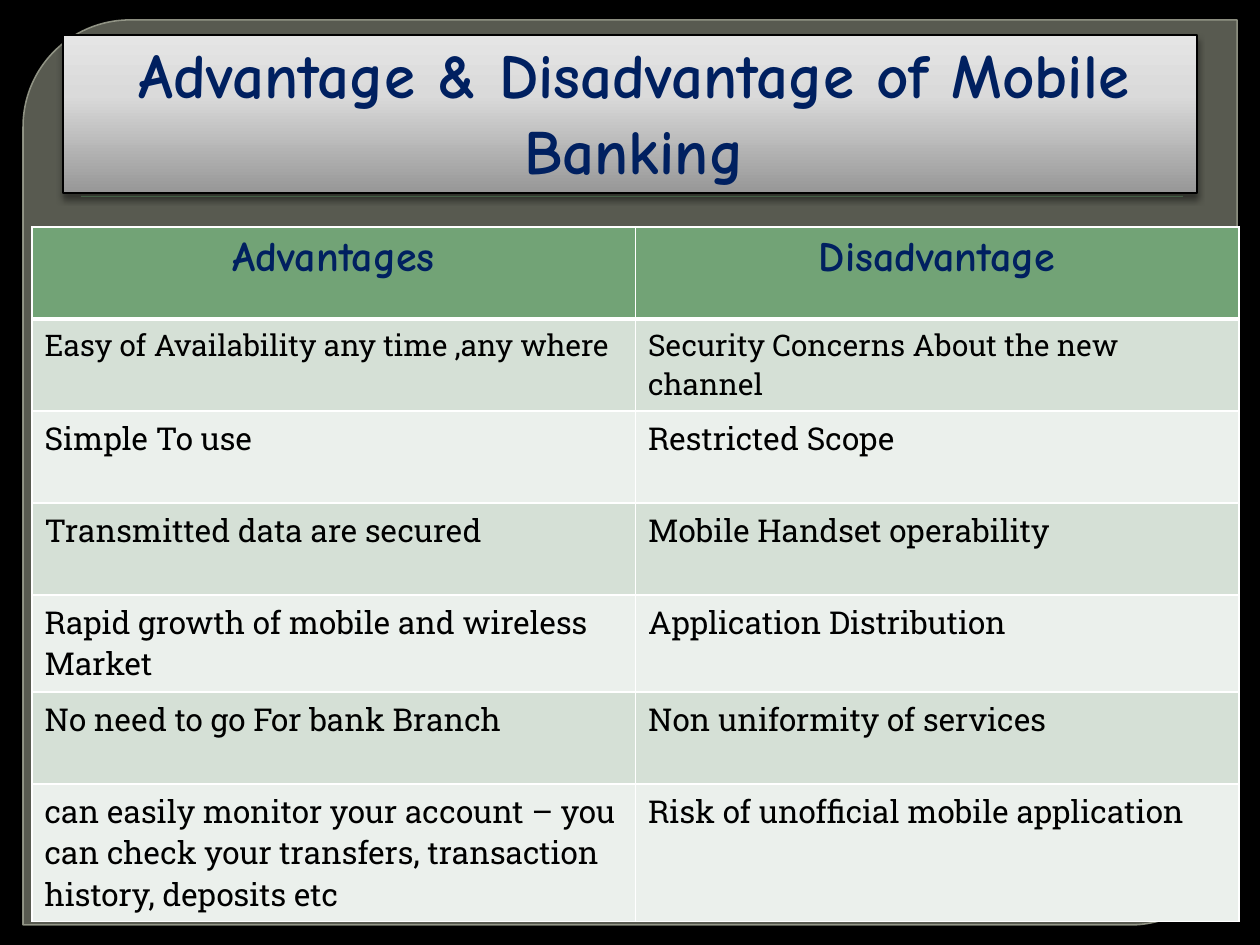
from dataclasses import dataclass
from typing import NamedTuple, Optional

from lxml import etree
from pptx import Presentation
from pptx.dml.color import RGBColor
from pptx.enum.shapes import MSO_SHAPE
from pptx.enum.text import MSO_ANCHOR, PP_ALIGN
from pptx.oxml import parse_xml
from pptx.oxml.ns import nsdecls, qn
from pptx.util import Emu, Pt

RECT, FRAME = MSO_SHAPE.RECTANGLE, MSO_SHAPE.ROUND_2_DIAG_RECTANGLE
BOTTOM = MSO_ANCHOR.BOTTOM
LEFT, CENTER = PP_ALIGN.LEFT, PP_ALIGN.CENTER
EMU_PER_PX = 914400 / 126


@dataclass(frozen=True)
class Theme:
    background: str = "000000"
    frame: str = "888B7B"
    frame_line: str = "9DA090"
    accent: str = "72A376"
    heading: str = "002060"
    body: str = "000000"
    grid: str = "FFFFFF"
    bands: tuple = ("D5E0D6", "EBF0EC")
    title_gradient: tuple = ((0, "979797"), (62, "DADADA"), (100, "E5E5E5"))
    heading_font: str = "Comic Neue"
    body_font: str = "Roboto Slab"
    title_size: int = 36
    header_size: int = 24
    first_row_size: int = 17
    body_size: int = 18


class Box(NamedTuple):
    left: int
    top: int
    width: int
    height: int


class Shadow(NamedTuple):
    alpha: int
    blur: int
    distance: int


class Comparison(NamedTuple):
    advantage: str
    disadvantage: str
    height: int


THEME = Theme()
HEADER = Comparison("Advantages", "Disadvantage", 92)
COMPARISONS = (
    Comparison("Easy of Availability any time ,any where",
               "Security Concerns About the new channel", 92),
    Comparison("Simple To use", "Restricted Scope", 92),
    Comparison("Transmitted data are secured", "Mobile Handset operability", 92),
    Comparison("Rapid growth of mobile and wireless Market",
               "Application Distribution", 97),
    Comparison("No need to go For bank Branch", "Non uniformity of services", 92),
    Comparison("can easily monitor your account – you can check your transfers, "
               "transaction history, deposits etc",
               "Risk of unofficial mobile application", 137),
)


def px(length: int) -> Emu:
    return Emu(round(length * EMU_PER_PX))


def rgb(color: str) -> RGBColor:
    return RGBColor.from_string(color)


def set_alpha(fill_xml, percent: int) -> None:
    color = next(fill_xml.iter(qn("a:srgbClr")))
    etree.SubElement(color, qn("a:alpha")).set("val", str(percent * 1000))


def add_box(slide, kind, box: Box, fill: Optional[str] = None,
            shadow: Optional[Shadow] = None):
    shape = slide.shapes.add_shape(kind, *map(px, box))
    shape.shadow.inherit = False
    shape.line.fill.background()
    if fill:
        shape.fill.solid()
        shape.fill.fore_color.rgb = rgb(fill)
    if shadow:
        effects = shape._element.spPr.find(qn("a:effectLst"))
        effects.append(parse_xml(
            f'<a:outerShdw {nsdecls("a")} blurRad="{Pt(shadow.blur)}" '
            f'dist="{Pt(shadow.distance)}" dir="5400000" rotWithShape="0">'
            f'<a:srgbClr val="000000"><a:alpha val="{shadow.alpha * 1000}"/>'
            '</a:srgbClr></a:outerShdw>'))
    return shape


def set_outline(shape, color: str, width: float) -> None:
    shape.line.color.rgb = rgb(color)
    shape.line.width = Pt(width)


def write(text_frame, text: str, align, color: str, **font_format) -> None:
    paragraph = text_frame.paragraphs[0]
    paragraph.alignment = align
    run = paragraph.add_run()
    run.text = text
    run.font.color.rgb = rgb(color)
    for name, value in font_format.items():
        setattr(run.font, name, value)


def add_gradient(shape, stops: tuple) -> None:
    shape.fill.gradient()
    shape.fill.gradient_angle = 90
    stop_list = shape._element.spPr.find(qn("a:gradFill")).find(qn("a:gsLst"))
    for stop in list(stop_list):
        stop_list.remove(stop)
    for position, color in stops:
        stop_list.append(parse_xml(
            f'<a:gs {nsdecls("a")} pos="{position * 1000}">'
            f'<a:srgbClr val="{color}"/></a:gs>'))


def set_borders(cell, bottom_width: int) -> None:
    properties = cell._tc.get_or_add_tcPr()
    widths = {"lnL": 1, "lnR": 1, "lnT": 1, "lnB": bottom_width}
    for index, (side, width) in enumerate(widths.items()):
        properties.insert(index, parse_xml(
            f'<a:{side} {nsdecls("a")} w="{Pt(width)}"><a:solidFill>'
            f'<a:srgbClr val="{THEME.grid}"/></a:solidFill></a:{side}>'))


def fill_row(table, index: int, row: Comparison, fill: str, align, color: str,
             bottom_width: int = 1, **font_format) -> None:
    table.rows[index].height = px(row.height)
    for column, text in enumerate((row.advantage, row.disadvantage)):
        cell = table.cell(index, column)
        cell.fill.solid()
        cell.fill.fore_color.rgb = rgb(fill)
        set_borders(cell, bottom_width)
        write(cell.text_frame, text, align, color, **font_format)


def add_backdrop(slide) -> None:
    slide.background.fill.solid()
    slide.background.fill.fore_color.rgb = rgb(THEME.background)
    frame = add_box(slide, FRAME, Box(23, 20, 1214, 905), THEME.frame)
    frame.adjustments[0], frame.adjustments[1] = 0.118, 0
    set_outline(frame, THEME.frame_line, 0.87)
    set_alpha(frame._element.spPr.find(qn("a:solidFill")), 65)
    set_alpha(frame._element.spPr.find(qn("a:ln")), 88)
    add_box(slide, RECT, Box(81, 196, 1102, 1), THEME.accent, Shadow(75, 1, 1))


def add_title(slide) -> None:
    title = add_box(slide, RECT, Box(63, 35, 1134, 158), shadow=Shadow(43, 4, 3))
    add_gradient(title, THEME.title_gradient)
    set_outline(title, "000000", 0.75)
    title.text_frame.word_wrap = True
    title.text_frame.vertical_anchor = BOTTOM
    write(title.text_frame, "Advantage & Disadvantage of Mobile Banking", CENTER,
          THEME.heading, name=THEME.heading_font, size=Pt(THEME.title_size), bold=True)
    title.text_frame.paragraphs[0]._p.get_or_add_pPr().set("marL", str(px(8)))


def add_comparison_table(slide) -> None:
    rows = (HEADER, *COMPARISONS)
    box = Box(32, 227, 1207, sum(row.height for row in rows))
    table = slide.shapes.add_table(len(rows), 2, *map(px, box)).table
    fill_row(table, 0, HEADER, THEME.accent, CENTER, THEME.heading, bottom_width=3,
             name=THEME.heading_font, size=Pt(THEME.header_size), bold=True)
    for index, row in enumerate(COMPARISONS):
        size = THEME.body_size if index else THEME.first_row_size
        fill_row(table, index + 1, row, THEME.bands[index % 2], LEFT, THEME.body,
                 name=THEME.body_font, size=Pt(size), bold=False)


def main() -> None:
    deck = Presentation()
    deck.slide_width, deck.slide_height = px(1260), px(945)
    slide = deck.slides.add_slide(deck.slide_layouts[6])
    add_backdrop(slide)
    add_title(slide)
    add_comparison_table(slide)
    deck.save("out.pptx")


if __name__ == "__main__":
    main()
